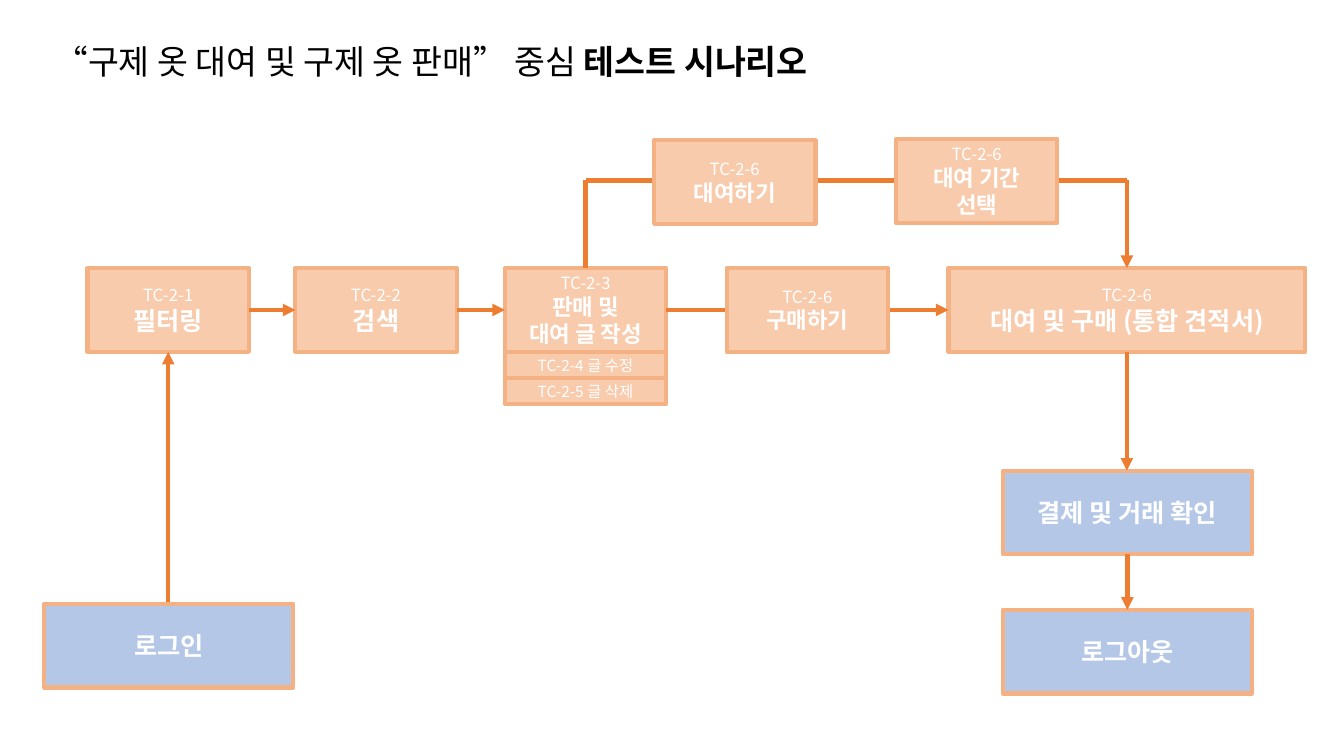
from dataclasses import dataclass

from lxml.etree import SubElement
from pptx import Presentation
from pptx.dml.color import RGBColor
from pptx.enum.shapes import MSO_CONNECTOR, MSO_SHAPE
from pptx.enum.text import MSO_ANCHOR, PP_ALIGN
from pptx.oxml.ns import qn
from pptx.slide import Slide
from pptx.util import Pt

FONT = "Noto Sans CJK KR"
COLORS = {"step": "F8CBAD", "account": "B4C7E7", "border": "F4B183",
          "flow": "ED7D31", "label": "FFFFFF", "title": "000000"}
STEP_W, ACCOUNT_W, STEP_H, EDIT_H = 115.2, 177.8, 59.8, 18.7
LINE_W = 3
MAIN_Y, RENT_LINE_Y = 191.5, 128.9


@dataclass(frozen=True)
class Step:
    """A box of the scenario: test case code, name and place in points."""
    code: str
    name: str
    left: float
    top: float
    width: float = STEP_W
    height: float = STEP_H
    size: float = 18
    fill: str = "step"

    @property
    def right(self) -> float:
        """Right edge."""
        return self.left + self.width

    @property
    def bottom(self) -> float:
        """Bottom edge."""
        return self.top + self.height

    @property
    def center(self) -> float:
        """Horizontal centre."""
        return self.left + self.width / 2

    @property
    def middle(self) -> float:
        """Vertical centre."""
        return self.top + self.height / 2


@dataclass(frozen=True)
class Flow:
    """A straight line between two points, with or without an arrowhead."""
    x1: float
    y1: float
    x2: float
    y2: float
    arrow: bool = True


def color(key: str) -> RGBColor:
    """Look up a colour by its role."""
    return RGBColor.from_string(COLORS[key])


def style_run(run, size: float, bold: bool, role: str) -> None:
    """Set font, size, weight and colour of a run."""
    font = run.font
    font.name, font.size, font.bold = FONT, Pt(size), bold
    font.color.rgb = color(role)
    SubElement(run._r.get_or_add_rPr(), qn("a:ea")).set("typeface", FONT)


def draw_title(slide: Slide, plain: str, strong: str) -> None:
    """Fill the title placeholder with a plain and a bold part."""
    title = slide.shapes.title
    title.left, title.top, title.width, title.height = Pt(31.7), Pt(24.5), Pt(891.4), Pt(41.8)
    title.text_frame.vertical_anchor = MSO_ANCHOR.MIDDLE
    paragraph = title.text_frame.paragraphs[0]
    paragraph.alignment, paragraph.line_spacing = PP_ALIGN.LEFT, 0.9
    for text, bold in ((plain, False), (strong, True)):
        run = paragraph.add_run()
        run.text = text
        style_run(run, 24, bold, "title")


def draw_step(slide: Slide, step: Step) -> None:
    """Draw a box with its code line above its bold name."""
    box = slide.shapes.add_shape(MSO_SHAPE.RECTANGLE, Pt(step.left), Pt(step.top),
                                 Pt(step.width), Pt(step.height))
    box.shadow.inherit = False
    box.fill.solid()
    box.fill.fore_color.rgb = color(step.fill)
    box.line.color.rgb = color("border")
    box.line.width = Pt(LINE_W)
    frame = box.text_frame
    frame.word_wrap = True
    frame.vertical_anchor = MSO_ANCHOR.MIDDLE
    frame.text = f"{step.code}\n{step.name}" if step.code else step.name
    for index, paragraph in enumerate(frame.paragraphs):
        paragraph.alignment = PP_ALIGN.CENTER
        is_code = bool(step.code) and index == 0
        is_edit = step.height == EDIT_H
        for run in paragraph.runs:
            style_run(run, 12 if is_code else step.size, not (is_code or is_edit), "label")


def draw_flow(slide: Slide, flow: Flow) -> None:
    """Draw a flow line."""
    line = slide.shapes.add_connector(MSO_CONNECTOR.STRAIGHT, Pt(flow.x1), Pt(flow.y1),
                                      Pt(flow.x2), Pt(flow.y2))
    line.line.color.rgb = color("flow")
    line.line.width = Pt(LINE_W)
    if flow.arrow:
        SubElement(line.line._get_or_add_ln(), qn("a:tailEnd")).set("type", "triangle")
    SubElement(line._element.spPr, qn("a:effectLst"))


def across(start: Step, end: Step) -> Flow:
    """Arrow from the right edge of one box to the left edge of another."""
    return Flow(start.right, start.middle, end.left, start.middle)


def down(start: Step, end: Step) -> Flow:
    """Arrow from the bottom of one box to the top of another."""
    return Flow(start.center, start.bottom, start.center, end.top)


filtering = Step("TC-2-1", "필터링", 62.6, MAIN_Y)
search = Step("TC-2-2", "검색", 211, MAIN_Y)
post = Step("TC-2-3", "판매 및\n대여 글 작성", 360.7, MAIN_Y, size=16)
edits = [Step("", name, post.left, post.bottom + row * EDIT_H, height=EDIT_H, size=11)
         for row, name in enumerate(("TC-2-4 글 수정", "TC-2-5 글 삭제"))]
buy = Step("TC-2-6", "구매하기", 519.1, MAIN_Y, size=16)
rent = Step("TC-2-6", "대여하기", 467.3, 100.1, size=16)
period = Step("TC-2-6", "대여 기간\n선택", 640.1, 99.4, size=16)
estimate = Step("TC-2-6", "대여 및 구매 (통합 견적서)", 677.5, MAIN_Y, width=254.9)
payment = Step("", "결제 및 거래 확인", 716.4, 336.2, ACCOUNT_W, fill="account")
logout = Step("", "로그아웃", 716.4, 435.6, ACCOUNT_W, fill="account")
login = Step("", "로그인", 31.7, 431.3, ACCOUNT_W, fill="account")

rent_line = Flow(estimate.center, RENT_LINE_Y, post.center, RENT_LINE_Y, arrow=False)
flows = [
    across(filtering, search), across(search, post), across(post, estimate),
    down(estimate, payment), down(payment, logout),
    Flow(filtering.center, login.top, filtering.center, filtering.bottom),
    Flow(post.center, post.top, post.center, RENT_LINE_Y, arrow=False),
    Flow(estimate.center, RENT_LINE_Y, estimate.center, estimate.top),
]

deck = Presentation()
deck.slide_width, deck.slide_height = Pt(960), Pt(540)
scenario = deck.slides.add_slide(deck.slide_layouts[5])
draw_title(scenario, "“구제 옷 대여 및 구제 옷 판매” 중심 ", "테스트 시나리오")
draw_flow(scenario, rent_line)
for step in (filtering, search, estimate, post, payment, logout, *edits):
    draw_step(scenario, step)
for flow in flows:
    draw_flow(scenario, flow)
for step in (rent, buy, period, login):
    draw_step(scenario, step)
deck.save("out.pptx")
